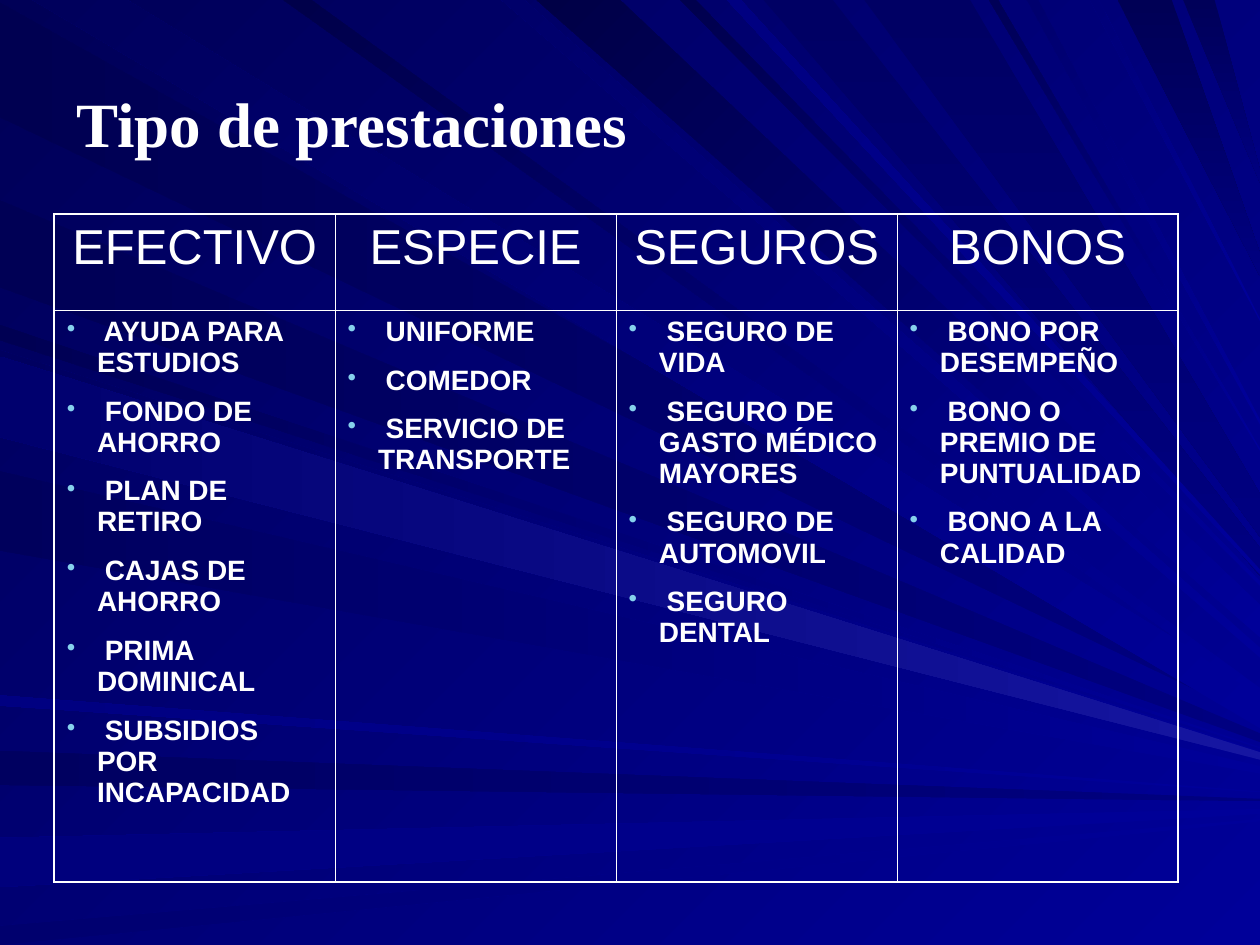
from dataclasses import dataclass

from lxml import etree
from pptx import Presentation
from pptx import util as u
from pptx.dml.color import RGBColor
from pptx.enum import text
from pptx.oxml import ns

PX = 9144  # one px is a hundredth of an inch
WIDTH, HEIGHT = 1000, 750


@dataclass(frozen=True)
class Theme:
    bright: str = "000099"
    mid: str = "000080"
    dark: str = "000057"
    glint: str = "1616A1"
    ink: str = "FFFFFF"
    bullet: str = "86D1EC"
    title_font: str = "Times New Roman"
    body_font: str = "Arial"
    title_size: int = 36
    head_size: int = 28
    body_size: int = 16
    inner_line: float = 0.45
    outer_line: float = 1.08


THEME = Theme()
BRIGHT, MID, GLINT = THEME.bright, THEME.mid, THEME.glint


def from_left(near, far, start, end):
    """Ray from the left edge; its tip falls slightly lower the lower it starts."""
    middle = (near + far) / 2
    tip, spread = 562 + 0.12 * middle, (far - near) * 0.05
    corners = [(0, near), (WIDTH, tip - spread), (WIDTH, tip + spread), (0, far)]
    return start, end, 180, corners


def from_top(near, far, tip, start, end):
    """Ray from the top edge to the given height on the right edge."""
    spread = (far - near) * 0.2
    corners = [(near, 0), (WIDTH, tip + spread), (WIDTH, tip - spread), (far, 0)]
    return start, end, 90 if end == MID else 225, corners


# Rays from back to front
RAYS = [
    from_left(2, 93, MID, "000051"),
    from_top(26, 101, 563, BRIGHT, "00005C"),
    from_left(596, 623, MID, "000060"),
    from_left(665, 704, BRIGHT, "00007C"),
    from_left(735, 750, BRIGHT, "00006E"),
    from_left(258, 270, BRIGHT, "000053"),
    from_left(159, 228, MID, "000055"),
    from_top(398, 416, 518, BRIGHT, "00006A"),
    from_top(426, 492, 493, BRIGHT, "000046"),
    from_top(540, 552, 463, BRIGHT, "00004E"),
    from_top(606, 661, 446, "000064", MID),
    from_top(887, 930, 210, "000055", MID),
    from_top(939, 964, 140, "000059", MID),
    from_left(278, 342, BRIGHT, "000060"),
    from_left(374, 437, BRIGHT, "00005C"),
    from_left(552, 560, BRIGHT, "000081"),
    from_top(225, 247, 550, BRIGHT, "00004A"),
    from_top(577, 588, 454, BRIGHT, "000081"),
    from_top(686, 770, 409, "000064", MID),
    from_top(785, 792, 357, BRIGHT, "000057"),
    from_top(815, 824, 335, BRIGHT, "00006E"),
    from_top(865, 872, 254, BRIGHT, "000078"),
    from_left(283, 347, GLINT, "00006E"),
]

BENEFITS = {
    "EFECTIVO": ["AYUDA PARA ESTUDIOS", "FONDO DE AHORRO", "PLAN DE RETIRO",
                 "CAJAS DE AHORRO", "PRIMA DOMINICAL", "SUBSIDIOS POR INCAPACIDAD"],
    "ESPECIE": ["UNIFORME", "COMEDOR", "SERVICIO DE TRANSPORTE"],
    "SEGUROS": ["SEGURO DE VIDA", "SEGURO DE GASTO MÉDICO MAYORES",
                "SEGURO DE AUTOMOVIL", "SEGURO DENTAL"],
    "BONOS": ["BONO POR DESEMPEÑO", "BONO O PREMIO DE PUNTUALIDAD", "BONO A LA CALIDAD"],
}


def paint(fill, start, end, angle):
    fill.gradient()
    fill.gradient_angle = 360 - angle  # python-pptx counts counter-clockwise
    for stop, color in zip(fill.gradient_stops, (start, end)):
        stop.color.rgb = RGBColor.from_string(color)


def add_xml(parent, tag, **attributes):
    return etree.SubElement(parent, ns.qn(tag), attributes)


def write(paragraph, words, *, font, size, color, bold=False, align=None, before=None, bullet=None):
    if bullet:
        props = paragraph._p.get_or_add_pPr()
        hang = 24 * PX
        props.set("marL", str(hang))
        props.set("indent", str(-hang))
        add_xml(add_xml(props, "a:buClr"), "a:srgbClr", val=bullet)
        add_xml(props, "a:buSzPct", val="90000")
        add_xml(props, "a:buChar", char="•")
    if align is not None:
        paragraph.alignment = align
    if before:
        paragraph.space_before = u.Pt(before)
    run = paragraph.add_run()
    run.text = words
    run.font.name, run.font.size, run.font.bold = font, u.Pt(size), bold
    run.font.color.rgb = RGBColor.from_string(color)


class Deck:
    def __init__(self, theme):
        self.theme = theme
        self.deck = Presentation()
        self.deck.slide_width, self.deck.slide_height = WIDTH * PX, HEIGHT * PX
        self.slide = self.deck.slides.add_slide(self.deck.slide_layouts[6])

    def background(self):
        paint(self.slide.background.fill, self.theme.bright, self.theme.dark, 225)

    def ray(self, start, end, angle, corners):
        builder = self.slide.shapes.build_freeform(*corners[0], scale=PX)
        builder.add_line_segments(corners[1:], close=True)
        beam = builder.convert_to_shape()
        beam.shadow.inherit = False
        beam.line.fill.background()
        paint(beam.fill, start, end, angle)

    def title(self, words, left, top, width, height):
        t = self.theme
        box = self.slide.shapes.add_textbox(left * PX, top * PX, width * PX, height * PX)
        box.text_frame.word_wrap = True
        write(box.text_frame.paragraphs[0], words, font=t.title_font,
              size=t.title_size, color=t.ink, bold=True)

    def cell_frame(self, cell, outer_sides):
        props = cell._tc.get_or_add_tcPr()
        for side in "LRTB":
            points = self.theme.outer_line if side in outer_sides else self.theme.inner_line
            line = add_xml(props, f"a:ln{side}", w=str(u.Pt(points)))
            add_xml(add_xml(line, "a:solidFill"), "a:srgbClr", val=self.theme.ink)
        cell.fill.background()

    def table(self, columns, left, top, col_width, row_heights):
        t = self.theme
        count = len(columns)
        grid = self.slide.shapes.add_table(2, count, left * PX, top * PX, count * col_width * PX,
                                           sum(row_heights) * PX).table
        grid.first_row = grid.horz_banding = False
        for row, height in zip(grid.rows, row_heights):
            row.height = height * PX
        for index, (heading, items) in enumerate(columns.items()):
            grid.columns[index].width = col_width * PX
            edge = {0: "L", count - 1: "R"}.get(index, "")
            head, body = grid.cell(0, index), grid.cell(1, index)
            self.cell_frame(head, edge + "T")
            self.cell_frame(body, edge + "B")
            write(head.text_frame.paragraphs[0], heading, font=t.body_font, size=t.head_size,
                  color=t.ink, align=text.PP_ALIGN.CENTER)
            for order, item in enumerate(items):
                frame = body.text_frame
                paragraph = frame.add_paragraph() if order else frame.paragraphs[0]
                write(paragraph, " " + item, font=t.body_font, size=t.body_size, color=t.ink,
                      bold=True, before=10 if order else None, bullet=t.bullet)

    def save(self):
        self.deck.save("out.pptx")


def main():
    deck = Deck(THEME)
    # Backdrop of light rays
    deck.background()
    for ray in RAYS:
        deck.ray(*ray)
    # Benefits by type
    deck.table(BENEFITS, left=43, top=170, col_width=223, row_heights=(76, 454))
    # Heading
    deck.title("Tipo de prestaciones", 51, 62, 467, 70)
    deck.save()


if __name__ == "__main__":
    main()
